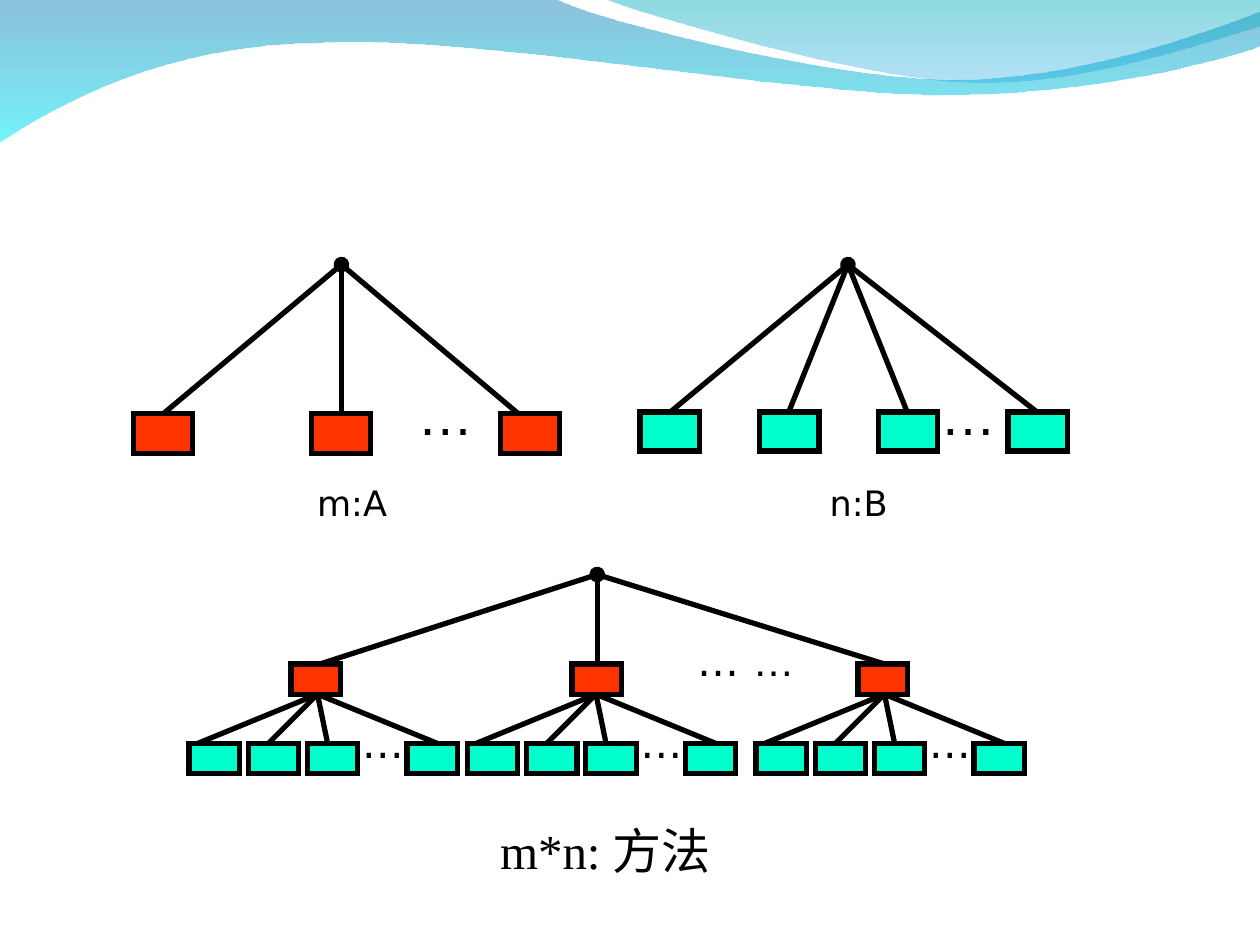
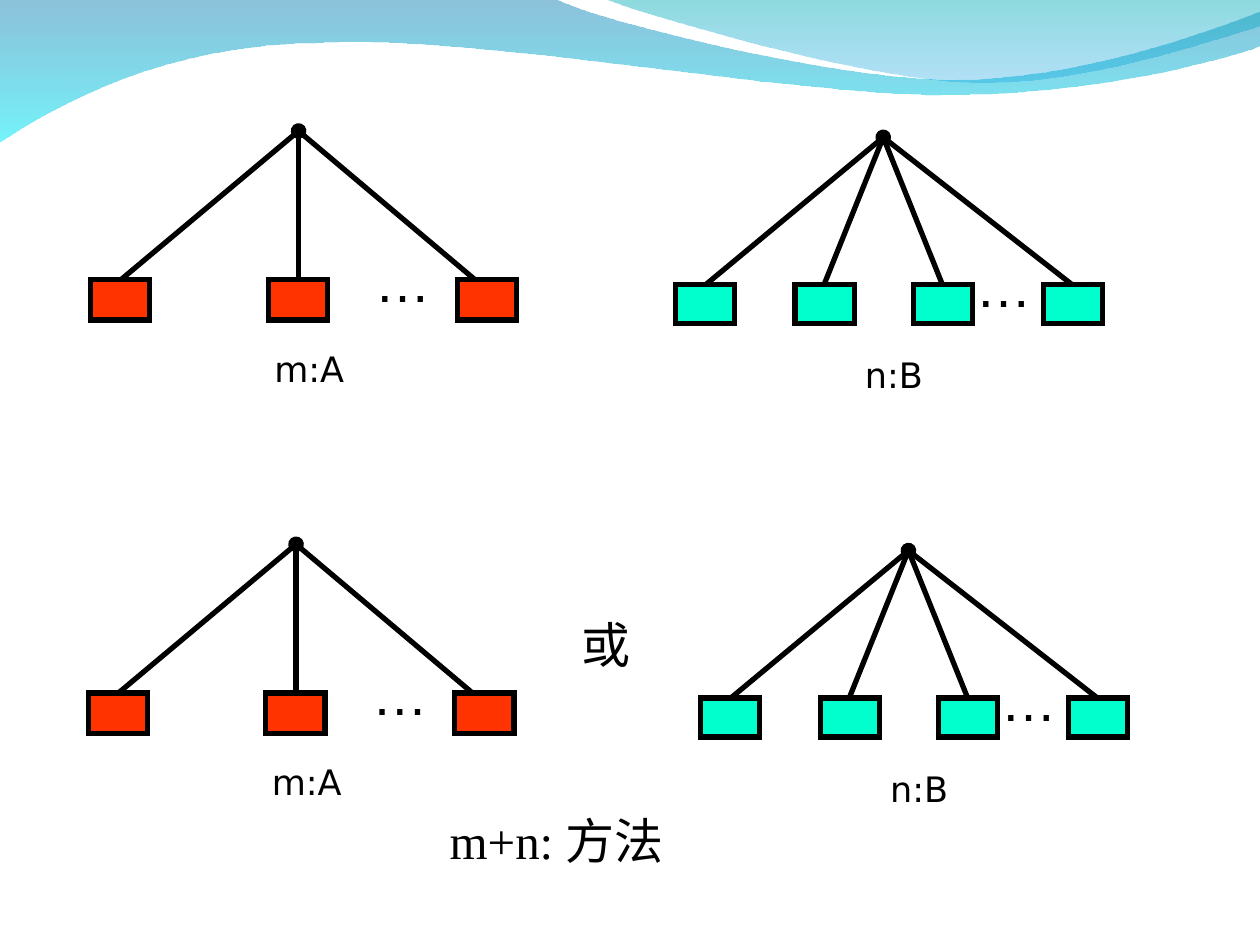
from dataclasses import dataclass

from lxml.etree import SubElement
from pptx import Presentation
from pptx.dml.color import RGBColor
from pptx.enum.shapes import MSO_CONNECTOR, MSO_SHAPE
from pptx.enum.text import MSO_ANCHOR, PP_ALIGN
from pptx.oxml.ns import qn
from pptx.util import Inches, Pt

COLORS = {
    "ink": "000000", "paper": "FFFFFF", "a": "FF3300", "b": "00FFCC",
    "wave_top": "0079AF", "wave_bottom": "00EBF8",
    "crest_top": "00ADB6", "crest_bottom": "009BE5",
}
SANS, DOTS, SERIF = "DejaVu Sans", "Arial", "Times New Roman"
ELLIPSIS = "…"

WAVE = [
    [(0, -0.01)], [(4.4, -0.01)],
    [(4.76, 0.17), (6.64, 0.63), (7.58, 0.63)],
    [(8.53, 0.63), (9.58, 0.26), (10, 0.09)],
    [(10.01, 0.36)],
    [(9.83, 0.44), (8.7, 0.76), (7.46, 0.75)],
    [(6.22, 0.75), (3.82, 0.28), (2.57, 0.34)],
    [(1.29, 0.35), (0.46, 0.83), (-0.01, 1.13)],
    [(0, -0.01)],
]
CREST = [
    [(4.79, -0.01)],
    [(5.09, 0.11), (6.82, 0.62), (7.69, 0.65)],
    [(8.56, 0.69), (9.61, 0.32), (10, 0.21)],
    [(10, 0)],
    [(4.79, -0.01)],
]


@dataclass
class Fan:
    """Branches from one apex to a row of nodes, measured from the fan's corner."""
    color: str
    apex: float
    ends: tuple
    nodes: tuple
    depth: float
    node_size: tuple
    dots: tuple
    dots_font: str = DOTS
    dots_size: int = 32
    rooted: bool = True


FAN_A = Fan("a", 1.65, (0.24, 1.65, 3.05), (0, 1.41, 2.91), 1.18,
            (0.47, 0.32), (2.2, 1.02, 0.55, 0.32))
FAN_B = Fan("b", 1.65, (0.24, 1.18, 2.12, 3.15), (0, 0.95, 1.89, 2.92), 1.17,
            (0.47, 0.31), (2.37, 1.02, 0.47, 0.31))
TRUNK = Fan("a", 3.24, (1.04, 3.24, 5.52), (0.81, 3.04, 5.31), 0.71,
            (0.39, 0.24), None)
LEAVES = Fan("b", 1.02, (0.07, 0.63, 1.1, 1.97), (0, 0.47, 0.94, 1.73), 0.39,
             (0.4, 0.24), (1.34, 0.26, 0.4, 0.23), SANS, 24, False)


def rgb(name):
    """Look up a colour by name."""
    return RGBColor.from_string(COLORS[name])


def add_box(parent, box, fill=None):
    """Add a plain rectangle without outline or shadow."""
    area = parent.shapes.add_shape(MSO_SHAPE.RECTANGLE, *map(Inches, box))
    area.shadow.inherit = False
    area.line.fill.background()
    if fill:
        area.fill.solid()
        area.fill.fore_color.rgb = rgb(fill)
    else:
        area.fill.background()
    return area


def write(parent, box, *pieces, size, align=PP_ALIGN.CENTER,
          anchor=MSO_ANCHOR.MIDDLE, wrap=False, fill=None):
    """Write one paragraph of (text, font) pieces in a box."""
    frame = add_box(parent, box, fill).text_frame
    frame.word_wrap = wrap
    frame.vertical_anchor = anchor
    paragraph = frame.paragraphs[0]
    paragraph.alignment = align
    for text, font in pieces:
        run = paragraph.add_run()
        run.text = text
        run.font.name = font
        run.font.size = Pt(size)
        run.font.color.rgb = rgb("ink")


def caption(slide, box, text, font=SERIF):
    """Write a large caption on a white ground."""
    write(slide, box, (text, font), size=28, align=PP_ALIGN.JUSTIFY,
          anchor=MSO_ANCHOR.TOP, wrap=True, fill="paper")


def draw_branch(parent, start, end, rooted):
    """Draw one branch, with a round root where asked."""
    branch = parent.shapes.add_connector(
        MSO_CONNECTOR.STRAIGHT, *map(Inches, (*start, *end)))
    branch.line.color.rgb = rgb("ink")
    branch.line.width = Pt(3)
    if rooted:
        SubElement(branch.line._get_or_add_ln(), qn("a:headEnd"), type="oval")
    SubElement(branch._element.spPr, qn("a:effectLst"))


def draw_node(parent, box, color):
    """Draw one node with a sharp-cornered outline."""
    node = add_box(parent, box, color)
    node.line.color.rgb = rgb("ink")
    node.line.width = Pt(3)
    SubElement(node.line._get_or_add_ln(), qn("a:miter"), lim="800000")


def draw_fan(parent, left, top, fan):
    """Draw the branches, nodes and dots of a fan."""
    for index, end in enumerate(fan.ends):
        draw_branch(parent, (left + fan.apex, top), (left + end, top + fan.depth),
                    fan.rooted and index == 0)
    for offset in fan.nodes:
        draw_node(parent, (left + offset, top + fan.depth, *fan.node_size), fan.color)
    if fan.dots:
        x, y, width, height = fan.dots
        write(parent, (left + x, top + y, width, height),
              (ELLIPSIS, fan.dots_font), size=fan.dots_size)


def draw_choice(slide, left, top, fan, label):
    """Draw a fan with its label below."""
    group = slide.shapes.add_group_shape()
    draw_fan(group, left, top, fan)
    write(group, (left + 0.25, top + 1.65, 2.97, 0.47), (label, SANS), size=20)


def draw_product(slide, left, top):
    """Draw the two-level tree in which each A leads to every B."""
    group = slide.shapes.add_group_shape()
    draw_fan(group, left, top, TRUNK)
    write(group, (left + 4.03, top + 0.48, 0.78, 0.39),
          (ELLIPSIS + " ", SANS), (ELLIPSIS, DOTS), size=24)
    for offset in (0, 2.21, 4.5):
        draw_fan(group, left + offset, top + 0.95, LEAVES)


def bend(outline, segments):
    """Turn each run of three control vertices into one cubic curve."""
    vertices = iter(list(outline.iter(qn("a:lnTo"))))
    for segment in segments[1:]:
        lines = [next(vertices) for _ in segment]
        if len(lines) == 3:
            curve = SubElement(outline, qn("a:cubicBezTo"))
            lines[0].addprevious(curve)
            for line in lines:
                curve.append(line[0])
                outline.remove(line)


def draw_wave(slide, segments, stops):
    """Draw a wave with a vertical gradient of (colour, opacity) stops."""
    start, *rest = [(Inches(x), Inches(y)) for segment in segments for x, y in segment]
    builder = slide.shapes.build_freeform(*start)
    builder.add_line_segments(rest, close=True)
    wave = builder.convert_to_shape()
    bend(next(wave._element.iter(qn("a:path"))), segments)
    wave.shadow.inherit = False
    wave.line.fill.background()
    wave.fill.gradient()
    wave.fill.gradient_angle = 270
    for stop, (color, _) in zip(wave.fill.gradient_stops, stops):
        stop.color.rgb = rgb(color)
    tints = wave._element.spPr.iter(qn("a:srgbClr"))
    for tint, (_, opacity) in zip(tints, stops):
        SubElement(tint, qn("a:alpha"), val=str(opacity * 1000))
    return wave


def move_waves_to_layout(slide):
    """Draw the waves once and hand them to the layout that the slides share."""
    layout = slide.slide_layout
    for placeholder in list(layout.placeholders):
        layout.shapes._spTree.remove(placeholder._element)
    waves = [
        draw_wave(slide, WAVE, [("wave_top", 45), ("wave_bottom", 55)]),
        draw_wave(slide, CREST, [("crest_top", 45), ("crest_bottom", 30)]),
    ]
    for wave in waves:
        layout.shapes._spTree.append(wave._element)


def build_product_slide(slide):
    """Show the rule of product."""
    draw_choice(slide, 1.06, 2.1, FAN_A, "m:A")
    draw_choice(slide, 5.08, 2.1, FAN_B, "n:B")
    draw_product(slide, 1.5, 4.56)
    caption(slide, (3.87, 6.46, 2.62, 0.62), "m*n: 方法")


def build_sum_slide(slide):
    """Show the rule of sum."""
    draw_choice(slide, 0.72, 1.04, FAN_A, "m:A")
    draw_choice(slide, 5.36, 1.09, FAN_B, "n:B")
    caption(slide, (3.47, 6.38, 2.62, 0.62), "m+n: 方法")
    draw_choice(slide, 0.7, 4.32, FAN_A, "m:A")
    draw_choice(slide, 5.56, 4.37, FAN_B, "n:B")
    caption(slide, (4.52, 4.83, 0.69, 0.62), "或", SANS)


def main():
    """Build and save the presentation."""
    prs = Presentation()
    prs.slide_width, prs.slide_height = Inches(10), Inches(7.5)
    blank = prs.slide_layouts[6]
    product, total = [prs.slides.add_slide(blank) for _ in range(2)]
    move_waves_to_layout(product)
    build_product_slide(product)
    build_sum_slide(total)
    prs.save("out.pptx")


if __name__ == "__main__":
    main()
